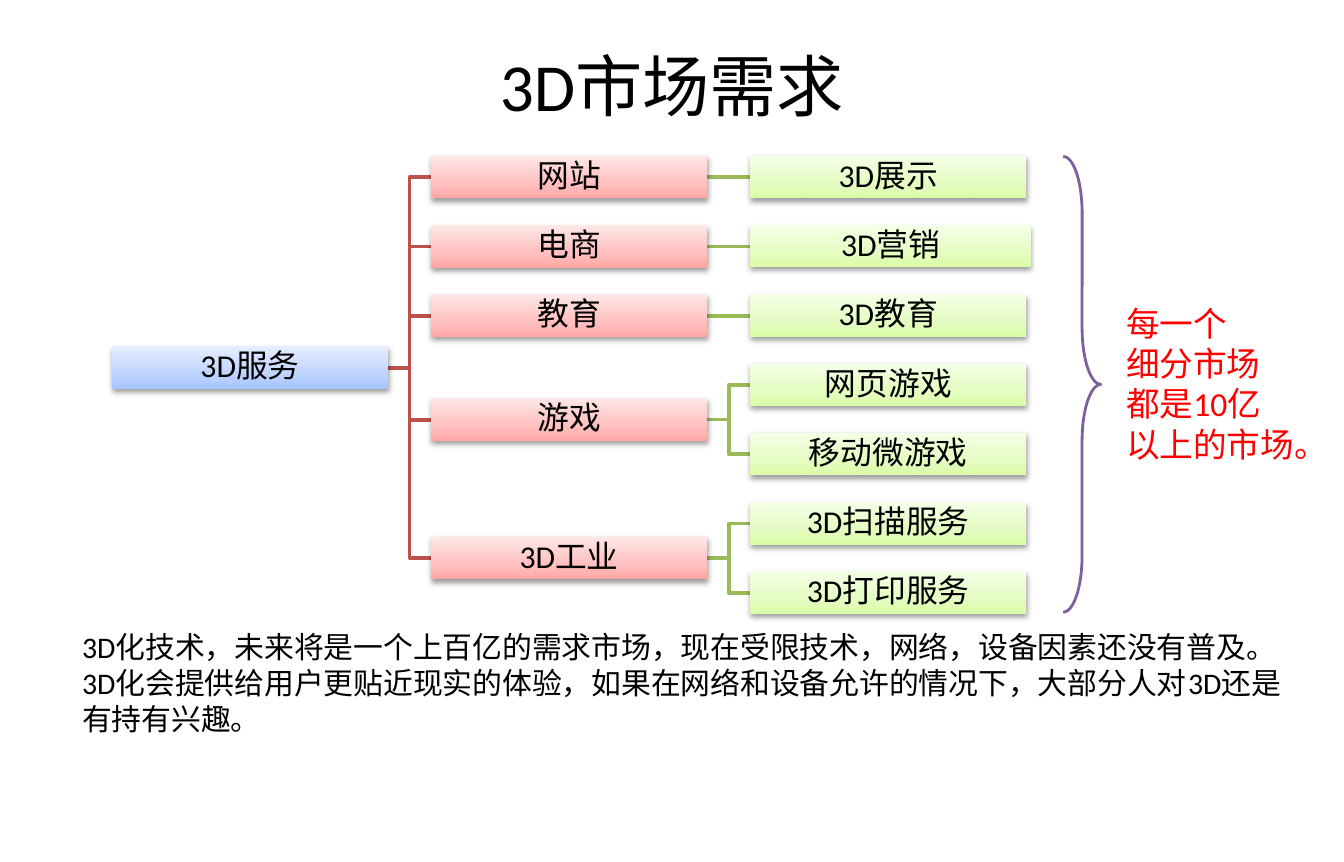
import copy

import pptx
import pptx.util
import pptx.dml.color
import pptx.enum.shapes
import pptx.enum.text
import pptx.oxml
import pptx.oxml.ns

Pt = pptx.util.Pt
RGB = pptx.dml.color.RGBColor
SHAPE = pptx.enum.shapes.MSO_SHAPE
ALIGN = pptx.enum.text.PP_ALIGN
ANCHOR = pptx.enum.text.MSO_ANCHOR

FONT = "Calibri"
BLACK = RGB(0, 0, 0)
RED = RGB(0xFF, 0, 0)
PURPLE = RGB(0x7D, 0x60, 0xA0)
RED_LINE = RGB(0xC0, 0x50, 0x4D)
GREEN_LINE = RGB(0x9B, 0xBB, 0x59)
BLUES = RGB(0xA4, 0xC4, 0xFF), RGB(0xBF, 0xD4, 0xFF), RGB(0xE6, 0xEE, 0xFF)
REDS = RGB(0xFF, 0xA6, 0xA5), RGB(0xFF, 0xC0, 0xBF), RGB(0xFF, 0xE7, 0xE7)
GREENS = RGB(0xDA, 0xFD, 0xA7), RGB(0xE4, 0xFC, 0xC2), RGB(0xF5, 0xFF, 0xE7)
STOPS = 0, 0.35, 1

BOX_W, BOX_H = 148, 22.8
COL_X = 60, 230.9, 401.9
FIRST_Y, PITCH = 94.9, 37.08

ROOT = "3D服务"
BRANCHES = [
    ("网站", ["3D展示"]),
    ("电商", ["3D营销"]),
    ("教育", ["3D教育"]),
    ("游戏", ["网页游戏", "移动微游戏"]),
    ("3D工业", ["3D扫描服务", "3D打印服务"]),
]
LEAF_SIZES = {"3D营销": (150.5, 22.2)}
SUMMARY = ("3D化技术，未来将是一个上百亿的需求市场，现在受限技术，网络，设备因素还没有普及。"
           " 3D化会提供给用户更贴近现实的体验，如果在网络和设备允许的情况下，"
           "大部分人对3D还是有持有兴趣。")
CLAIM = ["每一个", "细分市场", "都是10亿", "以上的市场。"]

SHADOW = (
    '<a:outerShdw %s blurRad="40000" dist="20000" dir="5400000" rotWithShape="0">'
    '<a:srgbClr val="000000"><a:alpha val="38000"/></a:srgbClr></a:outerShdw>'
    % pptx.oxml.ns.nsdecls("a"))


def write(tf, lines, size, color, align=ALIGN.LEFT):
    tf.word_wrap = True
    for i, line in enumerate(lines):
        p = tf.add_paragraph() if i else tf.paragraphs[0]
        p.alignment = align
        r = p.add_run()
        r.text = line
        r.font.size = Pt(size)
        r.font.name = FONT
        r.font.color.rgb = color


def add_text(s, x, y, w, h, lines, size, color=BLACK, align=ALIGN.LEFT, anchor=ANCHOR.TOP):
    tf = s.shapes.add_textbox(Pt(x), Pt(y), Pt(w), Pt(h)).text_frame
    tf.vertical_anchor = anchor
    write(tf, lines, size, color, align)


def add_node(s, x, center, text, colors):
    w, h = LEAF_SIZES.get(text, (BOX_W, BOX_H))
    sp = s.shapes.add_shape(SHAPE.RECTANGLE, Pt(x), Pt(center - BOX_H / 2), Pt(w), Pt(h))
    sp.fill.gradient()
    sp.fill.gradient_angle = 90
    stops = sp._element.xpath(".//a:gsLst")[0]
    stops.append(copy.deepcopy(stops[0]))
    for stop, position, color in zip(sp.fill.gradient_stops, STOPS, colors):
        stop.position = position
        stop.color.rgb = color
    sp.line.fill.background()
    sp.shadow.inherit = False
    sp._element.xpath("./p:spPr/a:effectLst")[0].append(pptx.oxml.parse_xml(SHADOW))
    tf = sp.text_frame
    tf.margin_left = tf.margin_right = tf.margin_top = tf.margin_bottom = Pt(0.8)
    tf.vertical_anchor = ANCHOR.MIDDLE
    write(tf, [text], 17, BLACK, ALIGN.CENTER)
    tf.paragraphs[0].line_spacing = 0.9


def add_link(s, column, y1, y2, color):
    x1, x2 = COL_X[column] + BOX_W, COL_X[column + 1]
    if abs(y1 - y2) < 0.01:
        sp = s.shapes.add_connector(pptx.enum.shapes.MSO_CONNECTOR.STRAIGHT,
                                    Pt(x1), Pt(y1), Pt(x2), Pt(y2))
        sp._element.spPr.append(pptx.oxml.parse_xml(
            "<a:effectLst %s/>" % pptx.oxml.ns.nsdecls("a")))
    else:
        mid = (x1 + x2) / 2
        fb = s.shapes.build_freeform(Pt(x1), Pt(y1))
        fb.add_line_segments([(Pt(mid), Pt(y1)), (Pt(mid), Pt(y2)), (Pt(x2), Pt(y2))],
                             close=False)
        sp = fb.convert_to_shape()
        sp.fill.background()
        sp.shadow.inherit = False
    sp.line.color.rgb = color
    sp.line.width = Pt(2)


def add_tree(s):
    nodes, links, centers = [], [], []
    row = 0
    for branch, leaves in BRANCHES:
        ys = [FIRST_Y + PITCH * (row + i) for i in range(len(leaves))]
        row += len(leaves)
        center = sum(ys) / len(ys)
        centers.append(center)
        nodes.append((COL_X[1], center, branch, REDS))
        for y, leaf in zip(ys, leaves):
            nodes.append((COL_X[2], y, leaf, GREENS))
            links.append((1, center, y, GREEN_LINE))
    root = (centers[0] + centers[-1]) / 2
    nodes.insert(0, (COL_X[0], root, ROOT, BLUES))
    links += [(0, root, center, RED_LINE) for center in centers]
    for link in links:
        add_link(s, *link)
    for node in nodes:
        add_node(s, *node)


def add_brace(s, x, y, w, h):
    sp = s.shapes.add_shape(SHAPE.RIGHT_BRACE, Pt(x), Pt(y), Pt(w), Pt(h))
    sp.adjustments[0] = 1.5
    sp.adjustments[1] = 0.5
    sp.fill.background()
    sp.line.color.rgb = PURPLE
    sp.line.width = Pt(1.5)
    sp.shadow.inherit = False


def main():
    prs = pptx.Presentation()
    prs.slide_width, prs.slide_height = Pt(720), Pt(461.52)
    s = prs.slides.add_slide(prs.slide_layouts[6])
    add_text(s, 36, 18.4, 648, 54, ["3D市场需求"], 36,
             align=ALIGN.CENTER, anchor=ANCHOR.MIDDLE)
    add_tree(s)
    add_text(s, 36.9, 333, 657.4, 65.5, [SUMMARY], 16)
    add_brace(s, 569.6, 83.8, 20.2, 244)
    add_text(s, 596.2, 158.4, 115.2, 94.3, CLAIM, 18, RED)
    prs.save("out.pptx")


main()
